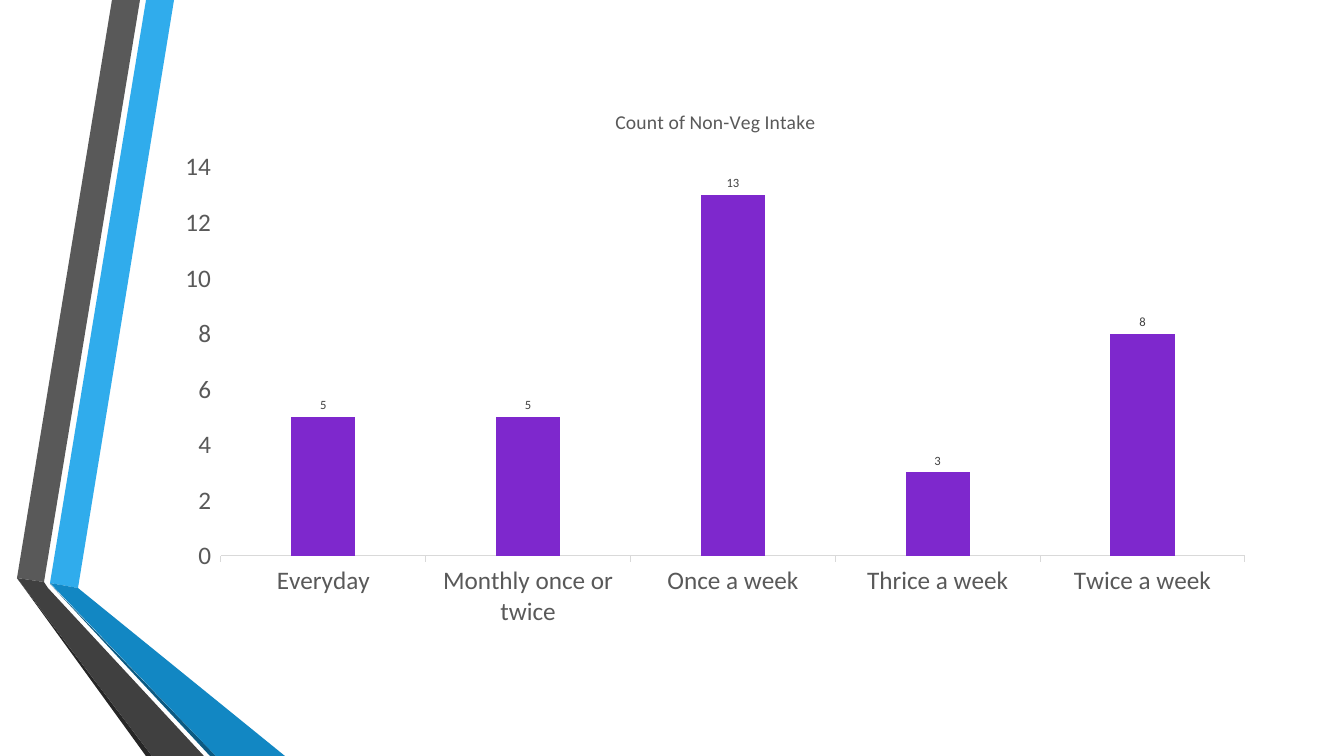
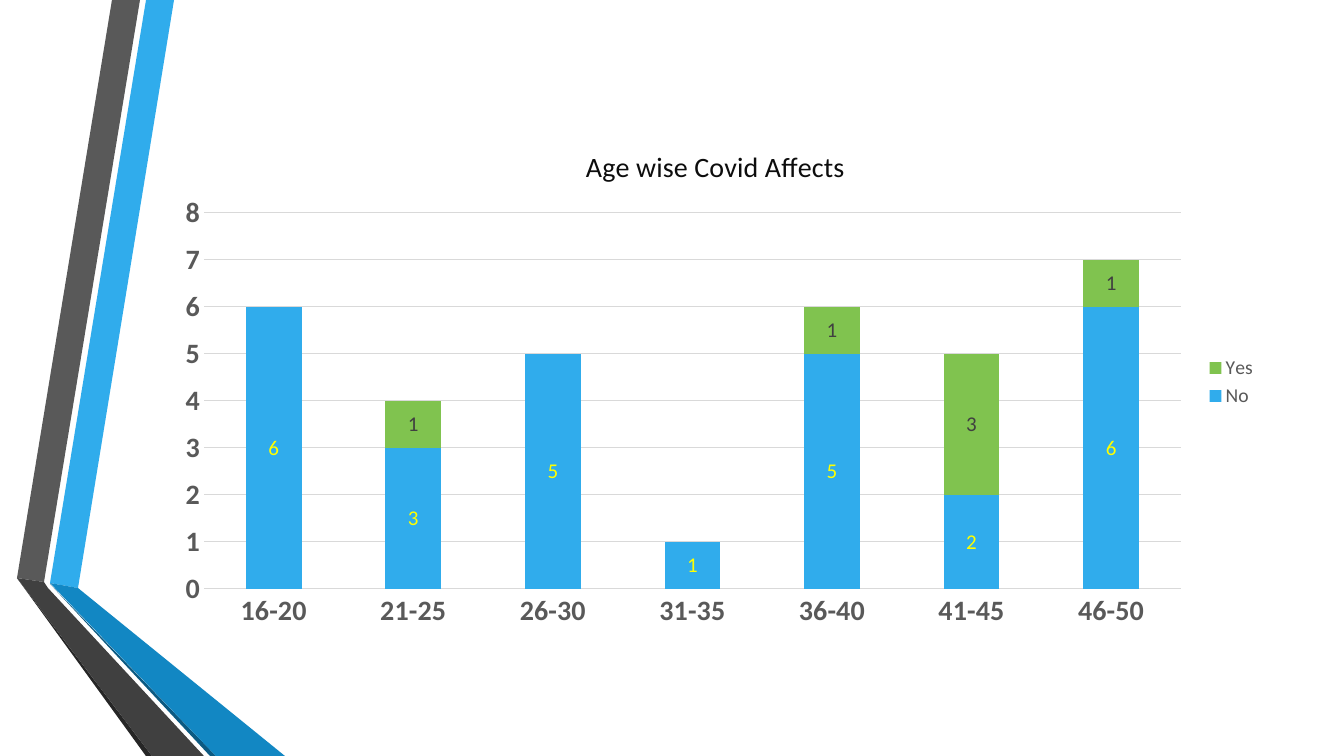
from lxml import etree
from pptx import Presentation
from pptx import util as u
from pptx.chart import data as chart_data
from pptx.dml.color import RGBColor
from pptx.enum import chart as ch
from pptx.oxml import ns

PX = 914400 / 100.8  # EMU in one px
WIDTH, HEIGHT = 1344, 756
FONT = "Calibri"

SKY = RGBColor(0x30, 0xAC, 0xEC)
BLUE = RGBColor(0x12, 0x87, 0xC3)
NAVY = RGBColor(0x0C, 0x5A, 0x82)
GREY = RGBColor(0x59, 0x59, 0x59)
DARK_GREY = RGBColor(0x40, 0x40, 0x40)
CHARCOAL = RGBColor(0x26, 0x26, 0x26)
INK = RGBColor(0x0D, 0x0D, 0x0D)
RULE = RGBColor(0xD9, 0xD9, 0xD9)
PURPLE = RGBColor(0x7E, 0x28, 0xCD)
GREEN = RGBColor(0x80, 0xC3, 0x4F)
YELLOW = RGBColor(0xFF, 0xFF, 0x00)

# Folded ribbons, from back to front
BANDS = [
    (SKY, [(50, 583), (78, 588), (174, 0), (146, 0)]),
    (GREY, [(140, 0), (112, 0), (17, 578), (44, 582)]),
    (CHARCOAL, [(17, 578), (146, HEIGHT), (152, HEIGHT)]),
    (NAVY, [(50, 584), (210, HEIGHT), (216, HEIGHT)]),
    (BLUE, [(50, 583), (216, HEIGHT), (285, HEIGHT), (78, 588)]),
    (DARK_GREY, [(204, HEIGHT), (48, 588), (44, 582), (17, 578), (152, HEIGHT)]),
]

# Frames are left, top, right, bottom; series are name, values, fill, label colour
CHARTS = [
    dict(
        kind=ch.XL_CHART_TYPE.COLUMN_CLUSTERED,
        frame=(163, 88, 1268, 638), plot=(221, 167, 1245, 556),
        title="Count of Non-Veg Intake", title_size=14, title_color=GREY,
        categories=["Everyday", "Monthly once or twice", "Once a week",
                    "Thrice a week", "Twice a week"],
        series=[("Series 1", [5, 5, 13, 3, 8], PURPLE, DARK_GREY)],
        label_size=9, label_position=ch.XL_LABEL_POSITION.OUTSIDE_END,
        gap=219, overlap=-27, axis_size=18, axis_bold=False,
        tick=ch.XL_TICK_MARK.OUTSIDE, top_value=14, step=2,
        category_line=True, grid=False, legend=False,
    ),
    dict(
        kind=ch.XL_CHART_TYPE.COLUMN_STACKED,
        frame=(163, 126, 1268, 638), plot=(204, 213, 1181, 589),
        title="Age wise Covid Affects", title_size=20, title_color=INK,
        categories=["16-20", "21-25", "26-30", "31-35", "36-40", "41-45", "46-50"],
        series=[("No", [6, 3, 5, 1, 5, 2, 6], SKY, YELLOW),
                ("Yes", [None, 1, None, None, 1, 3, 1], GREEN, DARK_GREY)],
        label_size=15, label_position=ch.XL_LABEL_POSITION.CENTER,
        gap=150, overlap=100, axis_size=20, axis_bold=True,
        tick=ch.XL_TICK_MARK.NONE, top_value=8, step=1,
        category_line=False, grid=True, legend=True,
    ),
]


def style_font(font, size, color, bold=False):
    font.name = FONT
    font.size = u.Pt(size)
    font.bold = bold
    font.color.rgb = color


def place_plot(chart, frame, plot):
    """Fix the inner plot area as fractions of the chart frame."""
    left, top, right, bottom = frame
    wide, high = right - left, bottom - top
    area = chart.element.find(".//" + ns.qn("c:plotArea"))
    for old in area.findall(ns.qn("c:layout")):
        area.remove(old)
    layout = etree.Element(ns.qn("c:layout"))
    manual = etree.SubElement(layout, ns.qn("c:manualLayout"))
    settings = [
        ("layoutTarget", "inner"), ("xMode", "edge"), ("yMode", "edge"),
        ("x", (plot[0] - left) / wide), ("y", (plot[1] - top) / high),
        ("w", (plot[2] - plot[0]) / wide), ("h", (plot[3] - plot[1]) / high),
    ]
    for tag, value in settings:
        etree.SubElement(manual, ns.qn("c:" + tag)).set("val", str(value))
    area.insert(0, layout)


deck = Presentation()
deck.slide_width = round(WIDTH * PX)
deck.slide_height = round(HEIGHT * PX)
blank = deck.slide_layouts[6]
for placeholder in list(blank.placeholders):
    blank.shapes.element.remove(placeholder.element)
pages = [deck.slides.add_slide(blank) for _ in CHARTS]

# Ribbons: drawn once, then moved to the shared layout
for color, points in BANDS:
    outline = pages[0].shapes.build_freeform(*points[0], scale=PX)
    outline.add_line_segments(points[1:], close=True)
    band = outline.convert_to_shape()
    band.shadow.inherit = False
    band.fill.solid()
    band.fill.fore_color.rgb = color
    band.line.fill.background()
    blank.shapes.element.append(band.element)

for page, item in zip(pages, CHARTS):
    # Chart and its values
    values = chart_data.CategoryChartData()
    values.categories = item["categories"]
    for name, numbers, _, _ in item["series"]:
        values.add_series(name, numbers)
    left, top, right, bottom = item["frame"]
    box = [round(n * PX) for n in (left, top, right - left, bottom - top)]
    chart = page.shapes.add_chart(item["kind"], *box, values).chart
    chart.font.name = FONT
    chart.font.size = u.Pt(10)
    place_plot(chart, item["frame"], item["plot"])

    # Title
    chart.has_title = True
    chart.chart_title.include_in_layout = False
    span = chart.chart_title.text_frame.paragraphs[0].add_run()
    span.text = item["title"]
    style_font(span.font, item["title_size"], item["title_color"])

    # Columns and labels
    columns = chart.plots[0]
    columns.gap_width = item["gap"]
    columns.overlap = item["overlap"]
    columns.vary_by_categories = False
    for series, (_, _, fill, label_color) in zip(columns.series, item["series"]):
        series.format.fill.solid()
        series.format.fill.fore_color.rgb = fill
        series.format.line.fill.background()
        labels = series.data_labels
        labels.show_value = True
        labels.position = item["label_position"]
        style_font(labels.font, item["label_size"], label_color)

    # Axes
    for axis in (chart.category_axis, chart.value_axis):
        axis.major_tick_mark = item["tick"]
        axis.minor_tick_mark = ch.XL_TICK_MARK.NONE
        axis.has_major_gridlines = False
        axis.format.line.fill.background()
        style_font(axis.tick_labels.font, item["axis_size"], GREY, item["axis_bold"])
    if item["category_line"]:
        line = chart.category_axis.format.line
        line.color.rgb = RULE
        line.width = u.Pt(0.75)
    chart.value_axis.minimum_scale = 0
    chart.value_axis.maximum_scale = item["top_value"]
    chart.value_axis.major_unit = item["step"]
    if item["grid"]:
        grid = chart.value_axis.major_gridlines.format.line
        grid.color.rgb = RULE
        grid.width = u.Pt(0.75)

    # Legend
    chart.has_legend = item["legend"]
    if item["legend"]:
        chart.legend.position = ch.XL_LEGEND_POSITION.RIGHT
        chart.legend.include_in_layout = False
        style_font(chart.legend.font, 14, GREY)

deck.save("out.pptx")
